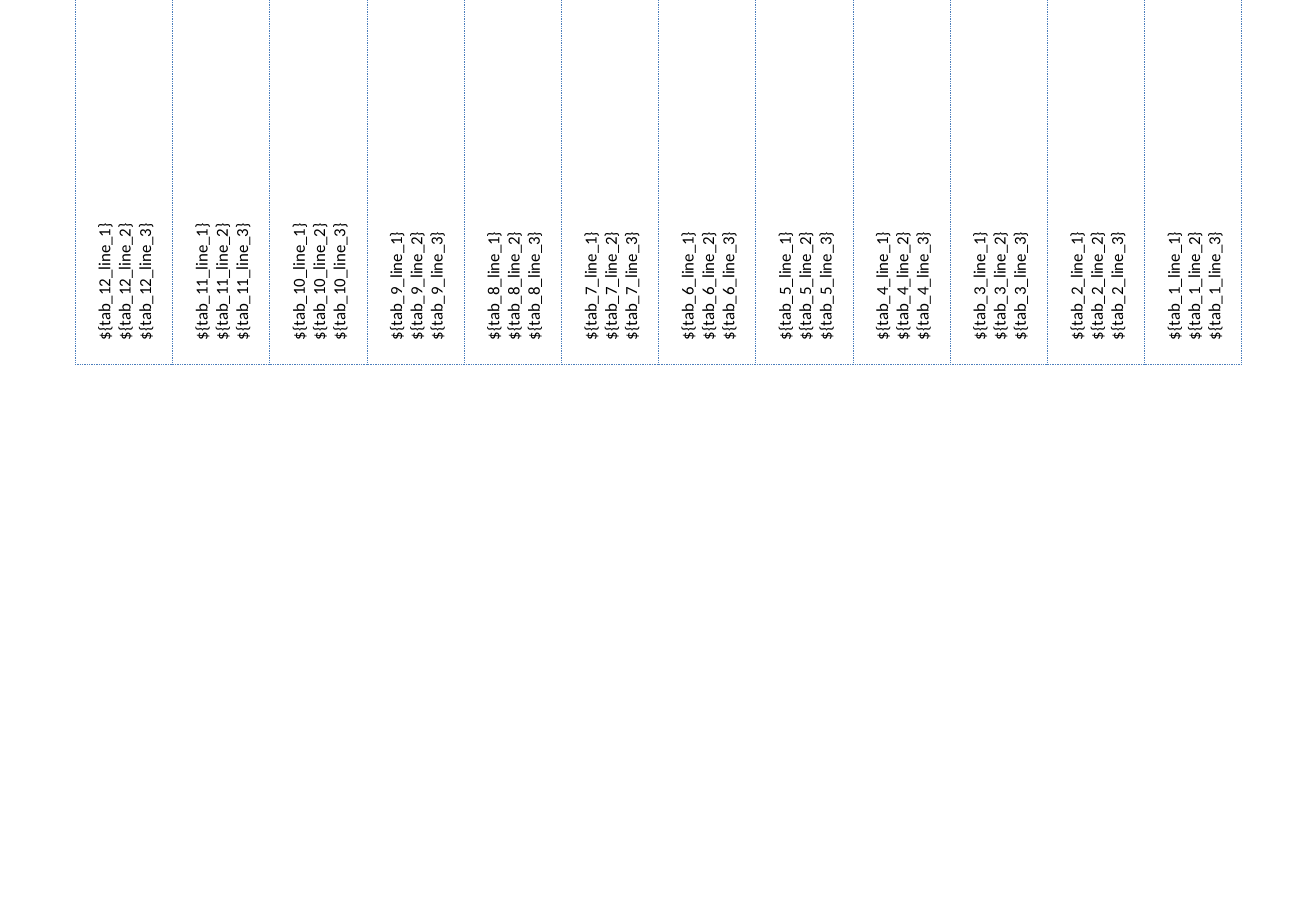
from dataclasses import dataclass

from lxml.etree import SubElement
from pptx import Presentation
from pptx.dml.color import RGBColor
from pptx.enum.dml import MSO_LINE
from pptx.enum.shapes import MSO_CONNECTOR
from pptx.enum.text import MSO_ANCHOR
from pptx.oxml.ns import qn
from pptx.shapes.shapetree import GroupShapes
from pptx.util import Inches, Pt

TABS = 12
LINES = 3
LEFT = 0.62
WIDTH = 0.8
HEIGHT = 3


@dataclass
class Tab:
    num: int
    col: int


@dataclass
class Rule:
    x1: float
    y1: float
    x2: float
    y2: float


def tint(code: str) -> RGBColor:
    return RGBColor.from_string(code)


def edge(col: int) -> float:
    return LEFT + col * WIDTH


def draw_tab(shapes: GroupShapes, tab: Tab) -> None:
    box = shapes.add_textbox(
        Inches(edge(tab.col)), 0, Inches(WIDTH), Inches(HEIGHT)
    )
    box.rotation = 180
    frame = box.text_frame
    frame.word_wrap = False
    frame.vertical_anchor = MSO_ANCHOR.MIDDLE
    frame.margin_left = frame.margin_right = Inches(0.05)
    frame.margin_top = Inches(0.2)
    frame.margin_bottom = 0
    box.element.txBody.find(qn("a:bodyPr")).set("vert", "vert")
    frame.text = "\n".join(
        f"${{tab_{tab.num}_line_{line}}}" for line in range(1, LINES + 1)
    )
    for para in frame.paragraphs:
        for run in para.runs:
            run.font.name = "Calibri"
            run.font.size = Pt(10)
            run.font.color.rgb = tint("000000")


def draw_rule(shapes: GroupShapes, rule: Rule) -> None:
    line = shapes.add_connector(
        MSO_CONNECTOR.STRAIGHT,
        Inches(rule.x1), Inches(rule.y1), Inches(rule.x2), Inches(rule.y2),
    )
    line.line.color.rgb = tint("4B7EBC")
    line.line.width = Pt(0.5)
    line.line.dash_style = MSO_LINE.ROUND_DOT
    SubElement(line.element.spPr, qn("a:effectLst"))


def main() -> None:
    deck = Presentation()
    deck.slide_width = Inches(10.83)
    deck.slide_height = Inches(7.5)
    slide = deck.slides.add_slide(deck.slide_layouts[6])
    shapes = slide.shapes.add_group_shape().shapes

    for num in range(1, TABS + 1):
        draw_tab(shapes, Tab(num, TABS - num))

    rules = [Rule(edge(TABS), HEIGHT, edge(0), HEIGHT)]
    rules += [
        Rule(edge(col), HEIGHT, edge(col), 0) for col in range(TABS, -1, -1)
    ]
    for rule in rules:
        draw_rule(shapes, rule)

    deck.save("out.pptx")


if __name__ == "__main__":
    main()
